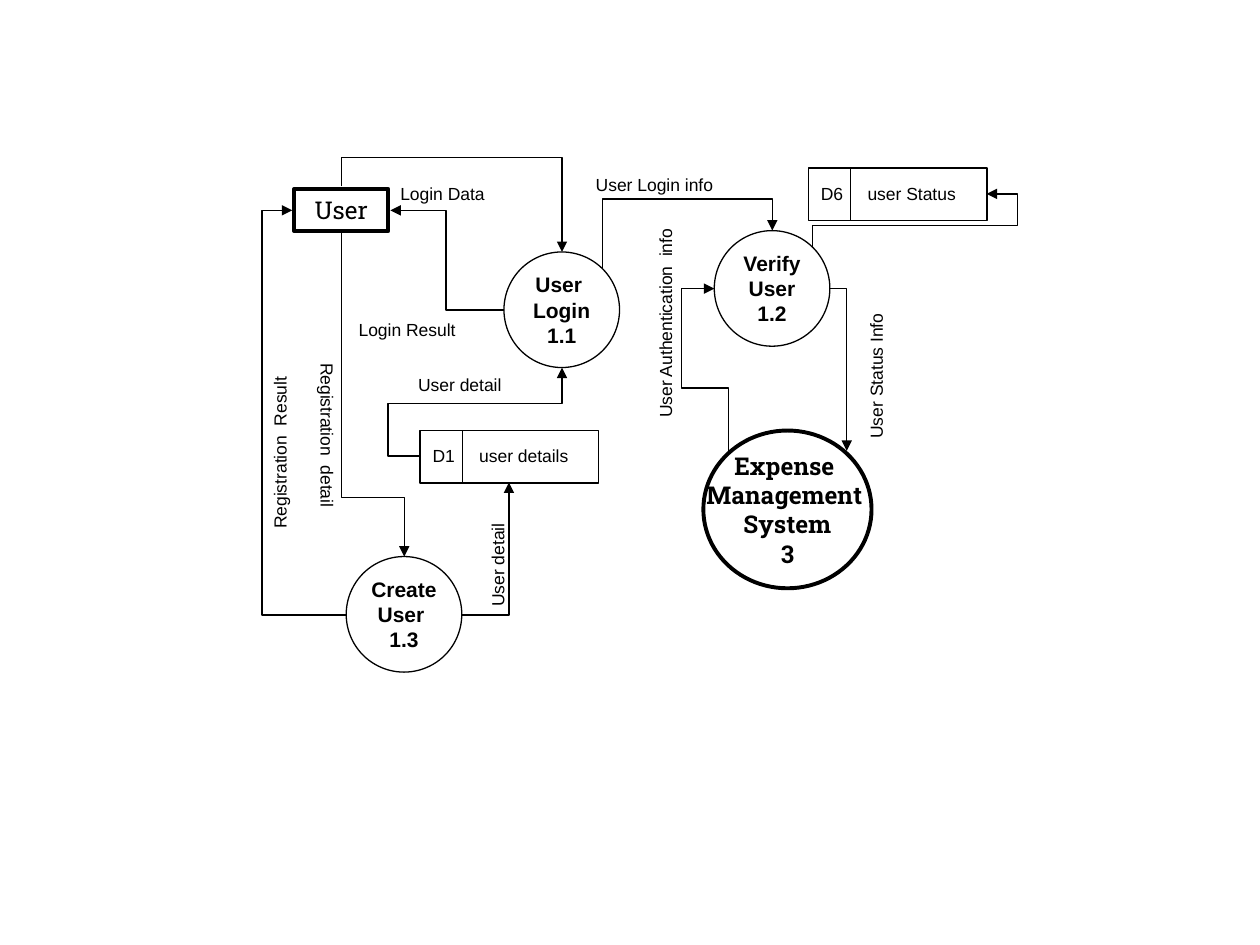
import lxml.etree
import pptx
import pptx.dml.color
import pptx.enum.shapes
import pptx.enum.text
import pptx.oxml.ns
import pptx.util

Cm = pptx.util.Cm
Pt = pptx.util.Pt
qn = pptx.oxml.ns.qn
SHAPE = pptx.enum.shapes.MSO_SHAPE
CONNECTOR = pptx.enum.shapes.MSO_CONNECTOR
ALIGN = pptx.enum.text.PP_ALIGN

BLACK = "000000"
THIN, THICK = 0.74, 2.24
PROCESS = 2.33
STORE_WIDTH, STORE_HEIGHT, STORE_DIVIDER = 3.6, 1.06, 0.85
LABEL_HEIGHT = 0.68
AXES = {0: (1, 0), 90: (0, 1), 180: (-1, 0), 270: (0, -1)}

nodes = [
    (SHAPE.OVAL, (10.16, 5.08, PROCESS, PROCESS), ["User ", "Login", "1.1"], THIN, "Arial", 12, True),
    (SHAPE.RECTANGLE, (5.93, 3.81, 1.9, 0.85), ["User"], THICK, "Roboto Slab", 14, False),
    (SHAPE.OVAL, (14.4, 4.65, PROCESS, PROCESS), ["Verify", "User", "1.2"], THIN, "Arial", 12, True),
    (SHAPE.OVAL, (14.18, 8.68, 3.39, 3.18), ["Expense ", "Management ", "System", "3"],
     THICK, "Roboto Slab", 14, True),
    (SHAPE.OVAL, (6.98, 11.22, PROCESS, PROCESS), ["Create", "User ", "1.3"], THIN, "Arial", 12, True),
]

stores = [
    ("D1\tuser details", 8.47, 8.68),
    ("D6\tuser Status", 16.3, 3.39),
]

flows = [
    (270, [(6.88, 3.76), (6.88, 3.18), (11.33, 3.18), (11.33, 5.08)]),
    (180, [(10.16, 6.25), (8.99, 6.25), (8.99, 4.24), (7.87, 4.24)]),
    (180, [(8.47, 9.19), (7.82, 9.19), (7.82, 8.13), (11.33, 8.13), (11.33, 7.41)]),
    (90, [(12.14, 5.41), (12.14, 4.01), (15.57, 4.01), (15.57, 4.65)]),
    (270, [(14.68, 9.09), (14.68, 7.82), (13.74, 7.82), (13.74, 5.82), (14.4, 5.82)]),
    (0, [(16.72, 5.82), (17.07, 5.82), (17.07, 9.09)]),
    (90, [(16.38, 5), (16.38, 4.55), (20.52, 4.55), (20.52, 3.91), (19.89, 3.91)]),
    (180, [(6.98, 12.4), (5.28, 12.4), (5.28, 4.24), (5.89, 4.24)]),
    (270, [(6.88, 4.7), (6.88, 10.03), (8.15, 10.03), (8.15, 11.22)]),
    (0, [(9.32, 12.4), (10.26, 12.4), (10.26, 9.73)]),
]

labels = [
    ("Login Data", 7.82, 3.56, 2.21, 0),
    ("Login Result", 6.98, 6.3, 2.46, 0),
    ("User detail", 8.18, 7.42, 2.18, 0),
    ("User Login info", 11.76, 3.38, 2.87, 0),
    ("User Authentication  info", 11.25, 6.17, 4.32, 270),
    ("User Status Info", 16.15, 7.24, 3.02, 270),
    ("Registration  detail", 4.8, 8.53, 3.6, 90),
    ("Registration  Result", 3.76, 8.69, 3.76, 270),
    ("User detail", 8.94, 11.05, 2.18, 270),
]


def color(value):
    return pptx.dml.color.RGBColor.from_string(value)


def set_line(shape, width):
    shape.line.color.rgb = color(BLACK)
    shape.line.width = Pt(width)


def write(shape, lines, font, size, bold, alignment):
    frame = shape.text_frame
    frame.word_wrap = False
    for index, text in enumerate(lines):
        paragraph = frame.add_paragraph() if index else frame.paragraphs[0]
        paragraph.alignment = alignment
        run = paragraph.add_run()
        run.text = text
        run.font.name = font
        run.font.size = Pt(size)
        run.font.bold = bold
        run.font.color.rgb = color(BLACK)


def add_outline(shapes, kind, box, width):
    shape = shapes.add_shape(kind, *map(Cm, box))
    shape.shadow.inherit = False
    shape.fill.background()
    set_line(shape, width)
    return shape


def add_label(shapes, text, left, top, width, turn=0):
    label = shapes.add_textbox(*map(Cm, (left, top, width, LABEL_HEIGHT)))
    label.rotation = turn
    write(label, [text], "Arial", 10, False, ALIGN.LEFT)
    label.text_frame.auto_size = pptx.enum.text.MSO_AUTO_SIZE.SHAPE_TO_FIT_TEXT
    return label


def add_line(shapes, kind, start, end):
    connector = shapes.add_connector(kind, *map(Cm, start + end))
    set_line(connector, THIN)
    lxml.etree.SubElement(connector._element.spPr, qn("a:effectLst"))
    return connector


def add_store(shapes, text, left, top):
    group = shapes.add_group_shape().shapes
    add_outline(group, SHAPE.RECTANGLE, (left, top, STORE_WIDTH, STORE_HEIGHT), THIN)
    divider = left + STORE_DIVIDER
    add_line(group, CONNECTOR.STRAIGHT, (divider, top), (divider, top + STORE_HEIGHT))
    label = add_label(group, text, left, top + 0.17, STORE_WIDTH)
    properties = label.text_frame.paragraphs[0]._p.get_or_add_pPr()
    stops = lxml.etree.SubElement(properties, qn("a:tabLst"))
    lxml.etree.SubElement(stops, qn("a:tab"), pos=str(Cm(0.94)), algn="l")


def add_flow(shapes, turn, points):
    cosine, sine = AXES[turn]
    start, end = points[0], points[-1]

    def local(point):
        across, down = point[0] - start[0], point[1] - start[1]
        return cosine * across + sine * down, cosine * down - sine * across

    reach = local(end)
    center = [(first + last) / 2 for first, last in zip(start, end)]
    corner = tuple(middle - abs(side) / 2 for middle, side in zip(center, reach))
    opposite = tuple(middle + abs(side) / 2 for middle, side in zip(center, reach))
    connector = add_line(shapes, CONNECTOR.ELBOW, corner, opposite)

    properties = connector._element.spPr
    frame = properties.find(qn("a:xfrm"))
    frame.set("rot", str(turn * 60000))
    for name, side in zip(("flipH", "flipV"), reach):
        if side < 0:
            frame.set(name, "1")
    geometry = properties.find(qn("a:prstGeom"))
    geometry.set("prst", f"bentConnector{len(points) - 1}")
    guides = geometry.find(qn("a:avLst"))
    for axis, point in enumerate(points[1:-2]):
        ratio = local(point)[axis] / reach[axis]
        lxml.etree.SubElement(guides, qn("a:gd"), name=f"adj{axis + 1}",
                              fmla=f"val {round(ratio * 100000)}")
    line = properties.find(qn("a:ln"))
    lxml.etree.SubElement(line, qn("a:tailEnd"), type="triangle")


presentation = pptx.Presentation()
presentation.slide_width = Cm(25.4)
presentation.slide_height = Cm(19.05)
slide = presentation.slides.add_slide(presentation.slide_layouts[6])

for kind, box, lines, width, font, size, bold in nodes:
    node = add_outline(slide.shapes, kind, box, width)
    node.text_frame.vertical_anchor = pptx.enum.text.MSO_ANCHOR.MIDDLE
    write(node, lines, font, size, bold, ALIGN.CENTER)
for store in stores:
    add_store(slide.shapes, *store)
for flow in flows:
    add_flow(slide.shapes, *flow)
for label in labels:
    add_label(slide.shapes, *label)

presentation.save("out.pptx")
